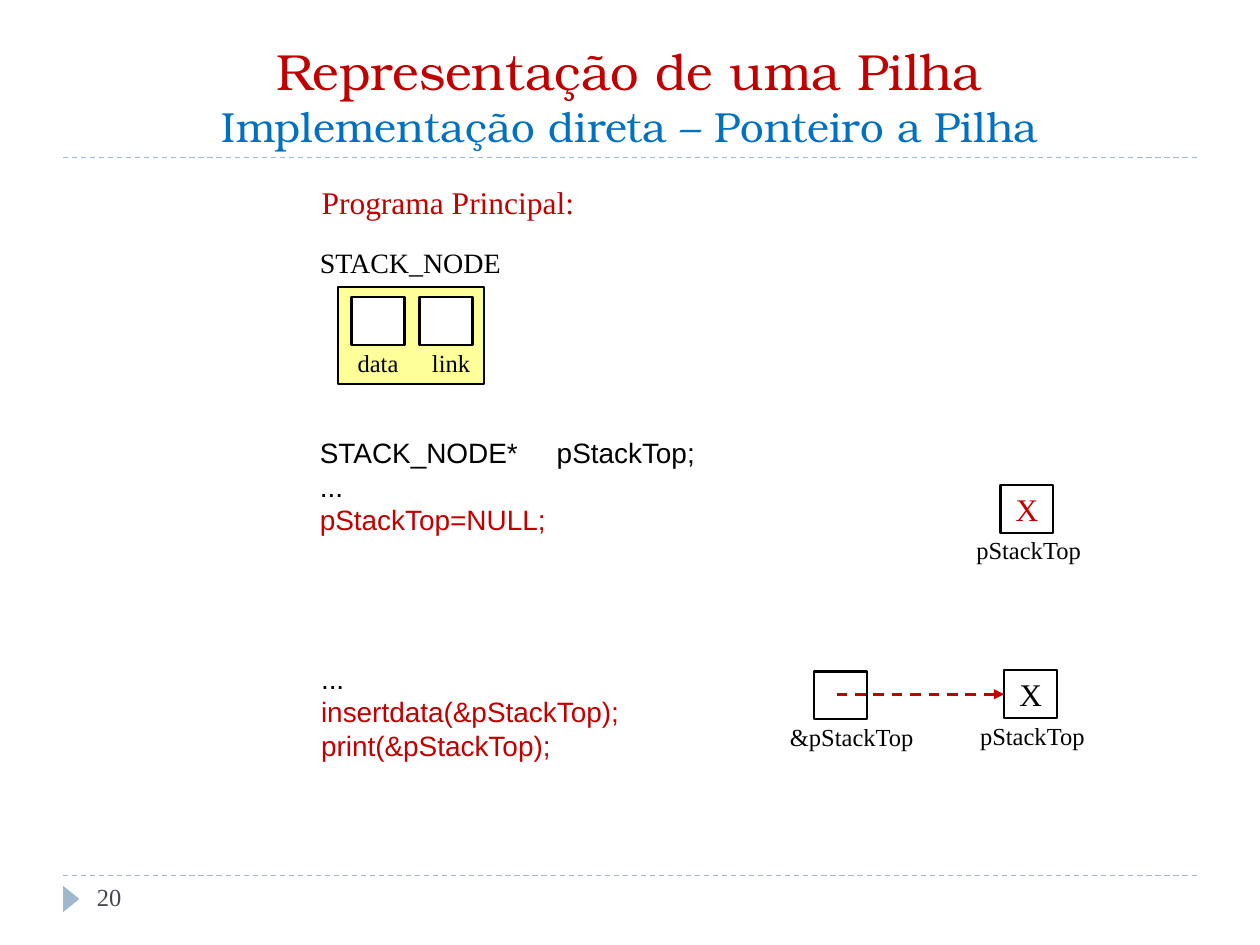
from lxml.etree import SubElement as Sub
from pptx import Presentation
from pptx.dml.color import RGBColor
from pptx.enum.dml import MSO_LINE as Dash
from pptx.enum.shapes import MSO_CONNECTOR as Link, MSO_SHAPE as Kind
from pptx.enum.text import MSO_ANCHOR as Anchor, MSO_AUTO_SIZE as Fit, PP_ALIGN as Align
from pptx.oxml.ns import qn
from pptx.util import Inches, Pt

WIDE, HIGH = Inches(10), Inches(7.5)
COLS, ROWS = 100, 75
BLACK = RGBColor(0x00, 0x00, 0x00)
WHITE = RGBColor(0xFF, 0xFF, 0xFF)
RED = RGBColor(0xC0, 0x00, 0x00)
BLUE = RGBColor(0x00, 0x70, 0xC0)
STEEL = RGBColor(0x9F, 0xB8, 0xCD)
SLATE = RGBColor(0x46, 0x46, 0x53)
YELLOW = RGBColor(0xFF, 0xFF, 0x99)
SERIF, SANS, BONUM = "Times New Roman", "Arial", "TeX Gyre Bonum"


def grid(x, y, *size):
    """Turn columns and rows into lengths on the slide."""
    steps = (WIDE / COLS, HIGH / ROWS) * 2
    return [round(n * step) for n, step in zip((x, y, *size), steps)]


def write(shape, text, size=14, color=BLACK, font=SERIF, align=Align.LEFT, fresh=True, tab=None):
    """Add text as a new paragraph, or after a line break if not fresh."""
    frame = shape.text_frame
    para = frame.paragraphs[-1]
    if para.runs and fresh:
        para = frame.add_paragraph()
    elif para.runs:
        para.add_line_break()
    para.alignment = align
    if tab:
        stops = Sub(para._p.get_or_add_pPr(), qn("a:tabLst"))
        Sub(stops, qn("a:tab"), pos=str(grid(tab, 0)[0]), algn="l")
    run = para.add_run()
    run.text = text
    run.font.size, run.font.name = Pt(size), font
    run.font.color.rgb = color


def label(shapes, spot, *lines, **look):
    """Add a text box; each line is a text or a text with its colour."""
    box = shapes.add_textbox(*grid(*spot))
    box.text_frame.word_wrap = True
    for line in lines:
        if isinstance(line, tuple):
            write(box, line[0], **{**look, "color": line[1]})
        else:
            write(box, line, **look)
    return box


def block(shapes, spot, fill, kind=Kind.RECTANGLE, edge=BLACK):
    """Add a flat filled shape."""
    shape = shapes.add_shape(kind, *grid(*spot))
    shape.shadow.inherit = False
    shape.fill.solid()
    shape.fill.fore_color.rgb = fill
    if edge is None:
        shape.line.fill.background()
    else:
        shape.line.color.rgb, shape.line.width = edge, Pt(1.25)
    return shape


def cell(shapes, x, y, name, shift, width, mark="", color=BLACK):
    """Add a memory cell with its name below."""
    shape = block(shapes, (x, y, 4.2, 3.8), WHITE)
    if mark:
        shape.text_frame.vertical_anchor = Anchor.MIDDLE
        write(shape, mark, size=18, color=color, align=Align.CENTER)
    label(shapes, (x - shift, y + 3.5, width, 3.4), name)
    return shape


def dashed(shapes, start, end, color, width):
    """Add a straight dashed line."""
    line = shapes.add_connector(Link.STRAIGHT, *grid(*start), *grid(*end))
    line.line.color.rgb, line.line.width = color, Pt(width)
    line.line.dash_style = Dash.DASH
    Sub(line._element.spPr, qn("a:effectLst"))
    return line


def arrow(shapes, start, goal):
    """Add a dashed pointer to the left side of the goal."""
    line = dashed(shapes, start, start, RED, 1.5)
    line.end_connect(goal, 1)
    Sub(line.line._get_or_add_ln(), qn("a:tailEnd"), type="triangle")


def heading(slide):
    """Fill the title placeholder."""
    title = slide.shapes.title
    title.left, title.top, title.width, title.height = grid(5, 2.5, 90, 10)
    title.text_frame.vertical_anchor = Anchor.BOTTOM
    title.text_frame.auto_size = Fit.NONE
    look = {"font": BONUM, "align": Align.CENTER}
    write(title, "Representação de uma Pilha", size=29, color=RED, **look)
    write(title, "Implementação direta – Ponteiro a Pilha", size=24, color=BLUE, fresh=False, **look)


def frame(shapes):
    """Add the rules, the page marker and the page number."""
    for y in (69.5, 12.5):
        dashed(shapes, (5, y), (95, y), STEEL, 0.75)
    mark = block(shapes, (4.6, 70.7, 2.1, 1.3), STEEL, Kind.ISOSCELES_TRIANGLE, None)
    mark.rotation = 90
    label(shapes, (6.7, 69.5, 21.7, 4), "20", color=SLATE)


def node(shapes):
    """Add the stack node with its two fields."""
    group = shapes.add_group_shape().shapes
    block(group, (26.8, 22.8, 11.6, 7.7), YELLOW)
    cell(group, 27.9, 23.6, "data", 0.5, 5.3)
    cell(group, 33.3, 23.6, "link", 0, 5.1)
    label(shapes, (24.4, 19, 16.5, 3.7), "STACK_NODE", size=16)


def code(shapes):
    """Add the lines of the main program."""
    label(shapes, (22.3, 14, 26.5, 4), "Programa Principal:", size=18, color=RED, align=Align.CENTER)
    top = label(shapes, (24.4, 34.1, 31.9, 9.1))
    look = {"size": 16, "font": SANS}
    write(top, "STACK_NODE*\tpStackTop;", tab=18.8, **look)
    write(top, "...", **look)
    write(top, "pStackTop=NULL;", color=RED, **look)
    label(shapes, (24.5, 52, 25.7, 9.1), "...", ("insertdata(&pStackTop);", RED),
          ("print(&pStackTop);", RED), **look)


def main():
    """Build the slide and save it."""
    deck = Presentation()
    deck.slide_width, deck.slide_height = WIDE, HIGH
    slide = deck.slides.add_slide(deck.slide_layouts[5])
    shapes = slide.shapes
    frame(shapes)
    heading(slide)
    node(shapes)
    code(shapes)
    cell(shapes, 79.4, 38.5, "pStackTop", 2.9, 10.4, "X", RED)
    goal = cell(shapes, 79.7, 53.2, "pStackTop", 2.9, 10.4, "X")
    cell(shapes, 64.6, 53.3, "&pStackTop", 2.9, 11.9)
    arrow(shapes, (66.4, 55.1), goal)
    deck.save("out.pptx")


if __name__ == "__main__":
    main()
